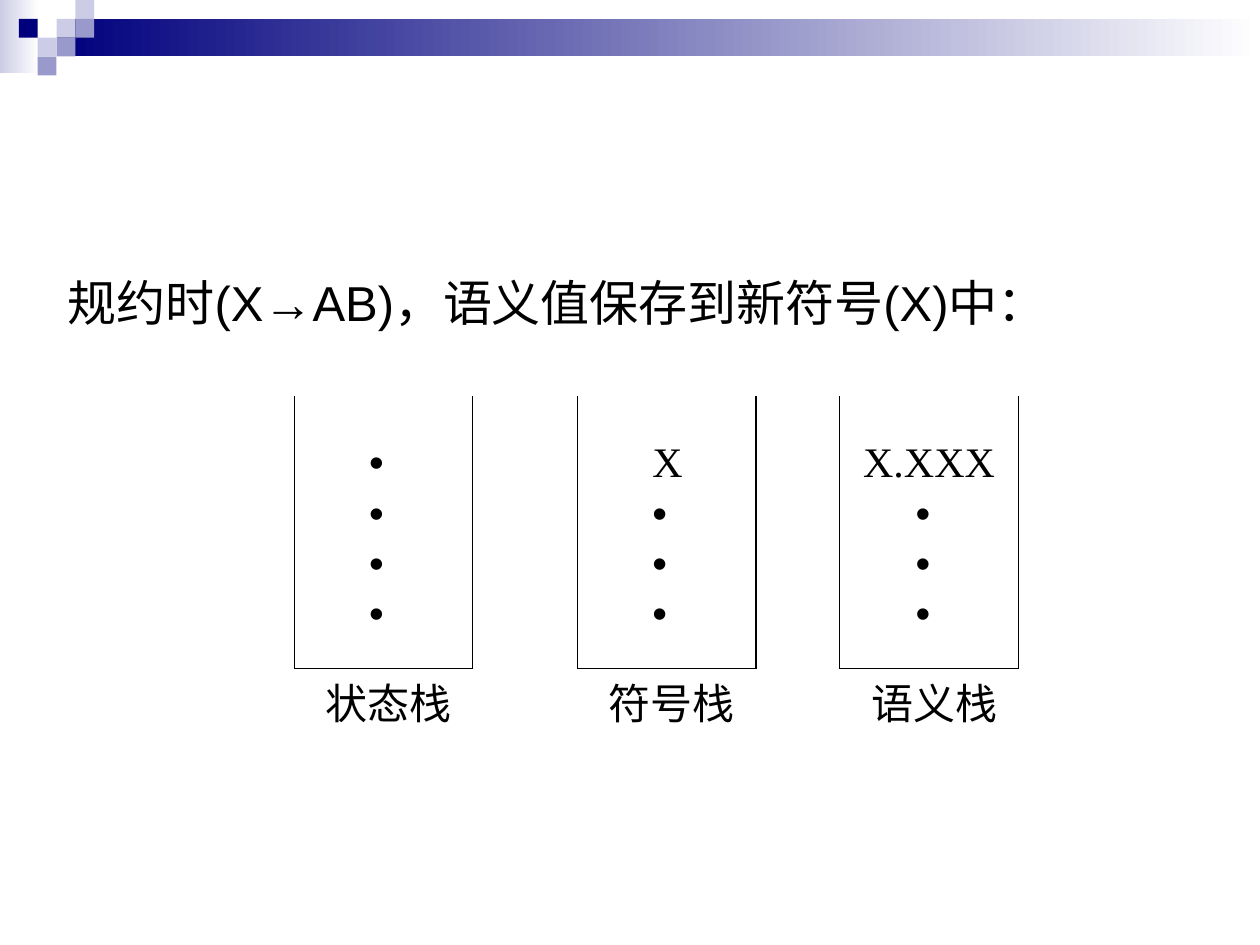
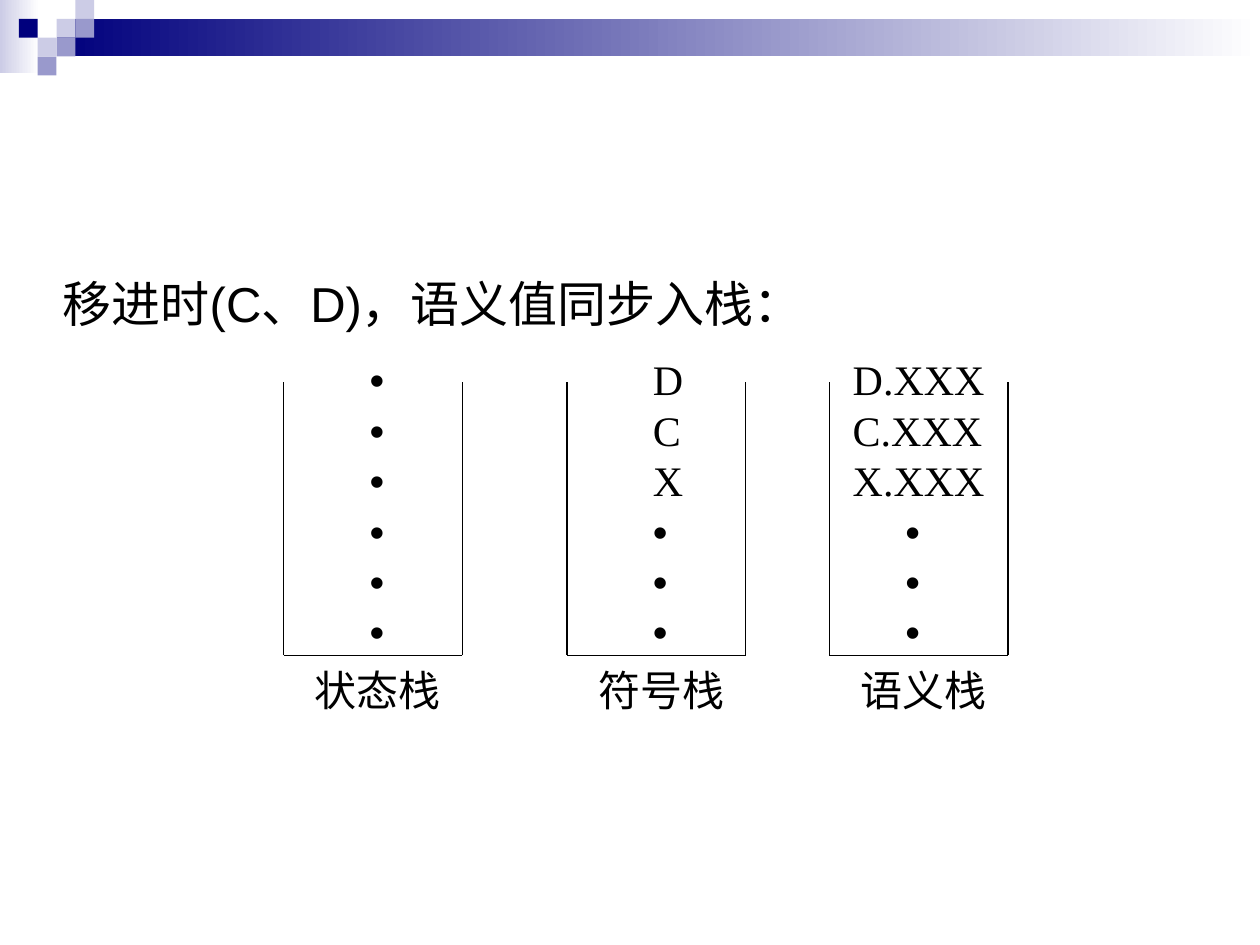
"""Build two slides showing the state, symbol and semantic stacks of a parser."""
from itertools import pairwise

from lxml import etree
from pptx import Presentation
from pptx.dml.color import RGBColor
from pptx.enum.shapes import MSO_CONNECTOR, MSO_SHAPE
from pptx.oxml.ns import qn
from pptx.util import Cm, Pt

RECT = MSO_SHAPE.RECTANGLE
STRAIGHT = MSO_CONNECTOR.STRAIGHT
COLORS = {"navy": "00007D", "mid": "9999CC", "pale": "CCCCE6",
          "white": "FFFFFF", "text": "000000"}
SANS, SERIF = "Arial", "Times New Roman"
DOT = "•"

UNIT = 0.38
BANDS = [(0, 0, 0.79, 1.47, "pale"), (3 * UNIT, UNIT, 24.26, 2 * UNIT, "navy")]
BLOCKS = [(3, 1, "pale"), (4, 0, "pale"), (4, 1, "mid"), (2, 2, "pale"),
          (1, 1, "navy"), (3, 2, "mid"), (2, 3, "mid")]

STACK_NAMES = ["状态栈", "符号栈", "语义栈"]
STACK_OFFSETS = [0, 5.71, 11]
STACK_W, STACK_H = 3.6, 5.5
ROW_PT, ROW_H = 28.8, 1.02
DOT_INDENT = 1.06

SLIDES = [
    {"title": "规约时(X→AB)，语义值保存到新符号(X)中：", "title_at": (1.12, 5.36),
     "stack_at": (5.93, 7.98), "items_top": 8.66, "inset": 1.26,
     "items": [[DOT] * 4, ["X"] + [DOT] * 3, ["X.XXX"] + [DOT] * 3]},
    {"title": "移进时(C、D)，语义值同步入栈：", "title_at": (1.02, 5.38),
     "stack_at": (5.72, 7.71), "items_top": 7.01, "inset": 1.48,
     "items": [[DOT] * 6, ["D", "C", "X"] + [DOT] * 3,
               ["D.XXX", "C.XXX", "X.XXX"] + [DOT] * 3]},
]


def add_rect(s, x, y, w, h):
    sp = s.shapes.add_shape(RECT, Cm(x), Cm(y), Cm(w), Cm(h))
    sp.shadow.inherit = False
    sp.line.fill.background()
    return sp


def add_text(s, x, y, w, h, lines, font, size):
    tf = s.shapes.add_textbox(Cm(x), Cm(y), Cm(w), Cm(h)).text_frame
    tf.word_wrap = True
    for i, line in enumerate(lines):
        p = tf.paragraphs[0] if i == 0 else tf.add_paragraph()
        r = p.add_run()
        r.text = line
        r.font.name = SANS if line == DOT else font
        r.font.size = Pt(size)
        r.font.color.rgb = RGBColor.from_string(COLORS["text"])
    return tf


prs = Presentation()
prs.slide_width, prs.slide_height = Cm(25.4), Cm(19.05)

for spec_row in SLIDES:
    s = prs.slides.add_slide(prs.slide_layouts[6])

    for x, y, w, h, color in BANDS:
        fill = add_rect(s, x, y, w, h).fill
        fill.gradient()
        fill.gradient_angle = 0
        for stop, name in zip(fill.gradient_stops, (color, "white")):
            stop.color.rgb = RGBColor.from_string(COLORS[name])
    for col, row, color in BLOCKS:
        sp = add_rect(s, col * UNIT, row * UNIT, UNIT, UNIT)
        sp.fill.solid()
        sp.fill.fore_color.rgb = RGBColor.from_string(COLORS[color])

    left, top = spec_row["stack_at"]
    bottom = top + STACK_H
    for name, offset, items in zip(STACK_NAMES, STACK_OFFSETS, spec_row["items"]):
        x = left + offset
        corners = [(x, top), (x, bottom), (x + STACK_W, bottom), (x + STACK_W, top)]
        for (x1, y1), (x2, y2) in pairwise(corners):
            line = s.shapes.add_connector(STRAIGHT, Cm(x1), Cm(y1), Cm(x2), Cm(y2))
            line.line.width = Pt(0.75)
            line.line.color.rgb = RGBColor.from_string(COLORS["text"])
            etree.SubElement(line._element.spPr, qn("a:effectLst"))
        add_text(s, x + 0.38, bottom + 0.06, 3.2, 1.27, [name], SERIF, 24)

        semantic = name == STACK_NAMES[-1]
        inset, width = (0.22, 3.3) if semantic else (spec_row["inset"], 1.2)
        tf = add_text(s, x + inset, spec_row["items_top"], width,
                      len(items) * ROW_H + 0.25, items, SERIF, 24)
        for p in tf.paragraphs:
            p.line_spacing = Pt(ROW_PT)
            if semantic and p.text == DOT:
                p._p.get_or_add_pPr().set("marL", str(Cm(DOT_INDENT)))

    add_text(s, *spec_row["title_at"], 20.6, 1.45, [spec_row["title"]], SANS, 28)

prs.save("out.pptx")
